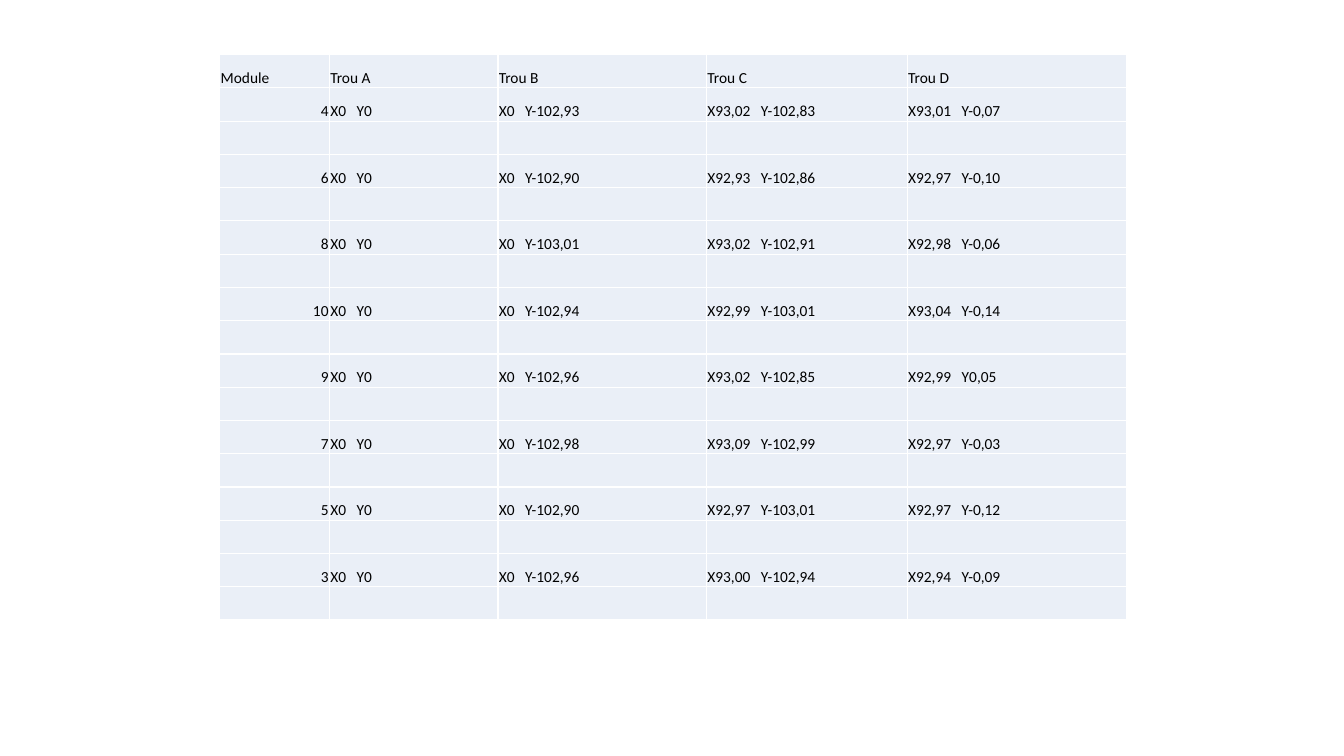
from pptx import Presentation
from pptx.dml.color import RGBColor
from pptx.enum import text
from pptx.util import Pt

PALE = RGBColor(0xEA, 0xEF, 0xF7)
BLACK = RGBColor(0, 0, 0)

HEAD = ["Module", "Trou A", "Trou B", "Trou C", "Trou D"]
HOLES = [
    ("4", "X0   Y-102,93", "X93,02   Y-102,83", "X93,01   Y-0,07"),
    ("6", "X0   Y-102,90", "X92,93   Y-102,86", "X92,97   Y-0,10"),
    ("8", "X0   Y-103,01", "X93,02   Y-102,91", "X92,98   Y-0,06"),
    ("10", "X0   Y-102,94", "X92,99   Y-103,01", "X93,04   Y-0,14"),
    ("9", "X0   Y-102,96", "X93,02   Y-102,85", "X92,99   Y0,05"),
    ("7", "X0   Y-102,98", "X93,09   Y-102,99", "X92,97   Y-0,03"),
    ("5", "X0   Y-102,90", "X92,97   Y-103,01", "X92,97   Y-0,12"),
    ("3", "X0   Y-102,96", "X93,00   Y-102,94", "X92,94   Y-0,09"),
]
WIDTHS = [78.3, 120.4, 149, 143.4, 156.9]
ROW = 23.76

rows = [HEAD]
for module, b, c, d in HOLES:
    rows += [[module, "X0   Y0", b, c, d], [""] * len(HEAD)]

deck = Presentation()
deck.slide_width, deck.slide_height = Pt(960), Pt(540)
slide = deck.slides.add_slide(deck.slide_layouts[6])

table = slide.shapes.add_table(
    len(rows), len(HEAD), Pt(157), Pt(39), Pt(sum(WIDTHS)), Pt(ROW * len(rows))
).table
table.first_row = False
table.horz_banding = False
for col, width in zip(table.columns, WIDTHS):
    col.width = Pt(width)

for r, row in enumerate(rows):
    table.rows[r].height = Pt(ROW)
    for c, words in enumerate(row):
        cell = table.cell(r, c)
        cell.fill.solid()
        cell.fill.fore_color.rgb = PALE
        cell.vertical_anchor = text.MSO_ANCHOR.BOTTOM
        cell.margin_left = cell.margin_top = cell.margin_right = Pt(0.6)
        cell.margin_bottom = Pt(0)
        cell.text = words
        para = cell.text_frame.paragraphs[0]
        para.font.name = "Calibri"
        para.font.size = Pt(11)
        para.font.color.rgb = BLACK
        if r and c == 0:
            para.alignment = text.PP_ALIGN.RIGHT

deck.save("out.pptx")
